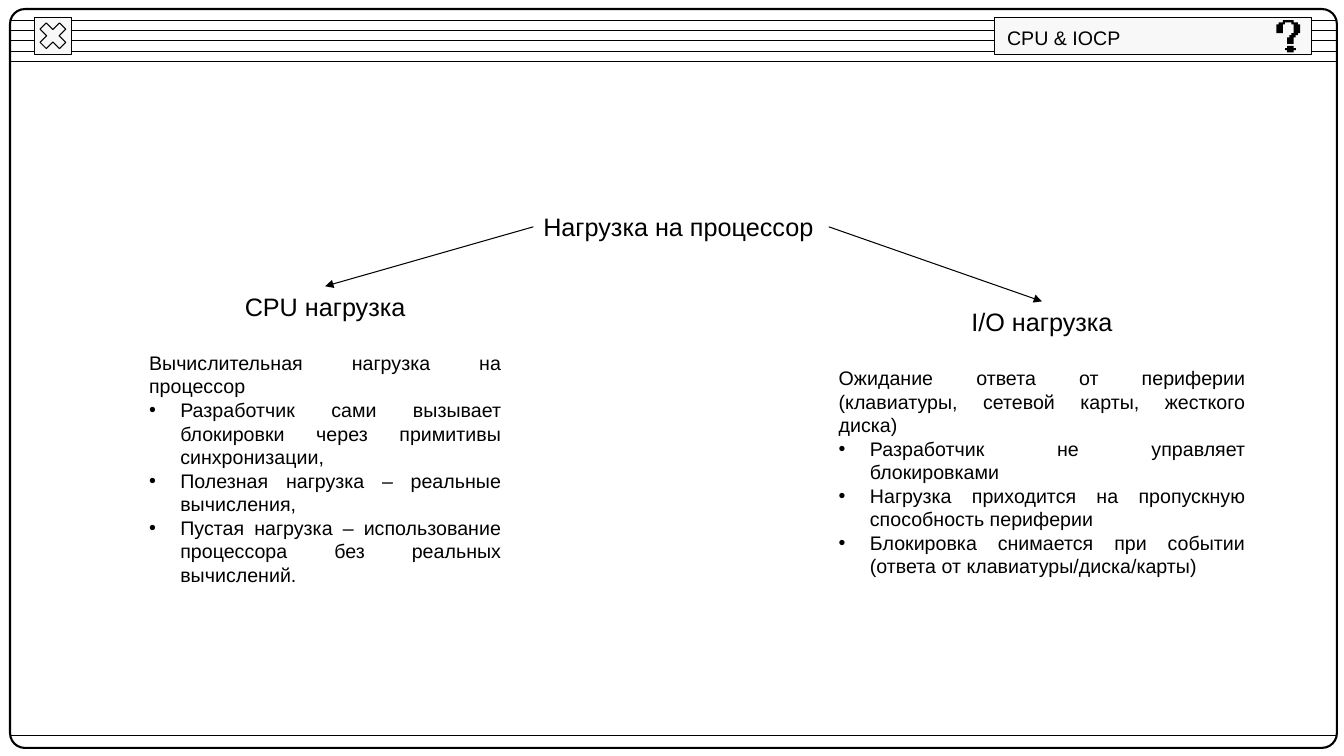
from lxml import etree
from pptx import Presentation
from pptx import util as u
from pptx.dml.color import RGBColor
from pptx.enum import shapes as sh, text as tx
from pptx.oxml.ns import qn

PX = 9144  # 100 px to the inch
BLACK = RGBColor(0, 0, 0)
PALE = RGBColor(0xF8, 0xF8, 0xF8)
FONT = "Arial"
INDENT = 31

# Corners of the question mark on a grid 15 cells high
HOOK = [(3, 0), (3, 1), (1, 1), (1, 2), (0, 2), (0, 6), (3, 6), (3, 2),
        (4, 2), (4, 1), (7, 1), (7, 2), (8, 2), (8, 6), (7, 6), (7, 7),
        (6, 7), (6, 8), (5, 8), (5, 11), (8, 11), (8, 8), (9, 8), (9, 7),
        (10, 7), (10, 6), (11, 6), (11, 2), (10, 2), (10, 1), (8, 1), (8, 0)]
DOT = [(5, 12), (5, 13), (4, 13), (4, 14), (5, 14), (5, 15),
       (8, 15), (8, 14), (9, 14), (9, 13), (8, 13), (8, 12)]

CPU = ("CPU нагрузка", "Вычислительная нагрузка на процессор", [
    "Разработчик сами вызывает блокировки через примитивы синхронизации,",
    "Полезная нагрузка – реальные вычисления,",
    "Пустая нагрузка – использование процессора без реальных вычислений."])
IO = ("I/O нагрузка",
      "Ожидание ответа от периферии (клавиатуры, сетевой карты, жесткого диска)", [
          "Разработчик не управляет блокировками",
          "Нагрузка приходится на пропускную способность периферии",
          "Блокировка снимается при событии (ответа от клавиатуры/диска/карты)"])


def emu(*lens):
    return [u.Emu(round(n * PX)) for n in lens]


def add_line(slide, x1, y1, x2, y2):
    line = slide.shapes.add_connector(sh.MSO_CONNECTOR.STRAIGHT, *emu(x1, y1, x2, y2))
    line.line.color.rgb = BLACK
    line.line.width = u.Pt(0.75)
    etree.SubElement(line._element.spPr, qn("a:effectLst"))
    return line


def add_arrow(slide, start, side, end):
    """Join a side of one box to the top of another."""
    arrow = add_line(slide, 0, 0, 1, 1)
    arrow.begin_connect(start, side)
    arrow.end_connect(end, 0)
    etree.SubElement(arrow.line._get_or_add_ln(), qn("a:tailEnd"), type="triangle")


def add_box(slide, kind, box, fill=PALE, width=0.75):
    shape = slide.shapes.add_shape(kind, *emu(*box))
    shape.shadow.inherit = False
    if fill is None:
        shape.fill.background()
    else:
        shape.fill.solid()
        shape.fill.fore_color.rgb = fill
    shape.line.color.rgb = BLACK
    shape.line.width = u.Pt(width)
    return shape


def add_text(slide, box, wrap=True):
    label = slide.shapes.add_textbox(*emu(*box))
    label.text_frame.word_wrap = wrap
    return label


def add_run(para, words, size):
    run = para.add_run()
    run.text = words
    run.font.name = FONT
    run.font.size = u.Pt(size)
    run.font.color.rgb = BLACK


def add_label(slide, box, words, size, wrap=True):
    label = add_text(slide, box, wrap)
    add_run(label.text_frame.paragraphs[0], words, size)
    return label


def add_frame(slide, box):
    """Window outline with title stripes, a close box and a bottom rule."""
    x, y, w, h = box
    for row in range(5):
        top = y + 11 + row * 10.25
        add_line(slide, x + 1, top, x + w, top)
    frame = add_box(slide, sh.MSO_SHAPE.ROUNDED_RECTANGLE, box, None, 1.5)
    frame.adjustments[0] = 0.02
    for kind in (sh.MSO_SHAPE.RECTANGLE, sh.MSO_SHAPE.MATH_MULTIPLY):
        add_box(slide, kind, (x + 24, y + 8, 37, 37))
    add_line(slide, x + 1, y + h - 12, x + w, y + h - 12)


def add_glyph(slide, x, y, h):
    """Pixel question mark."""
    for dots in (HOOK, DOT):
        pen = slide.shapes.build_freeform(*dots[0], scale=h * PX / 15)
        pen.add_line_segments(dots[1:], close=True)
        part = pen.convert_to_shape(*emu(x, y))
        part.shadow.inherit = False
        part.fill.solid()
        part.fill.fore_color.rgb = BLACK
        part.line.fill.background()


def add_tab(slide, box, title):
    x, y, w, h = box
    add_box(slide, sh.MSO_SHAPE.RECTANGLE, box)
    add_glyph(slide, x + w - 35, y + 3, 32)
    add_label(slide, (x + 3, y + 4, 134, 34), title, 14, False)


def add_load(slide, box, title, lead, points):
    """Centred title, then a justified lead and bullets."""
    label = add_text(slide, box)
    frame = label.text_frame
    head = frame.paragraphs[0]
    head.alignment = tx.PP_ALIGN.CENTER
    head.space_after = u.Pt(21)
    add_run(head, title, 18)
    for words in [lead, *points]:
        para = frame.add_paragraph()
        para.alignment = tx.PP_ALIGN.JUSTIFY
        add_run(para, words, 14)
        if words in points:
            props = para._p.get_or_add_pPr()
            props.set("marL", str(INDENT * PX))
            props.set("indent", str(-INDENT * PX))
            etree.SubElement(props, qn("a:buFont"), typeface=FONT)
            etree.SubElement(props, qn("a:buChar"), char="•")
    return label


def main():
    deck = Presentation()
    deck.slide_width, deck.slide_height = emu(1333, 750)
    slide = deck.slides.add_slide(deck.slide_layouts[6])
    add_frame(slide, (10, 9, 1316, 733))
    add_tab(slide, (986, 17, 315, 37), "CPU & IOCP")
    root = add_label(slide, (529, 205, 293, 40), "Нагрузка на процессор", 18)
    left = add_load(slide, (138, 284, 369, 337), *CPU)
    right = add_load(slide, (822, 299, 423, 259), *IO)
    add_arrow(slide, root, 1, left)
    add_arrow(slide, root, 3, right)
    deck.save("out.pptx")


if __name__ == "__main__":
    main()
